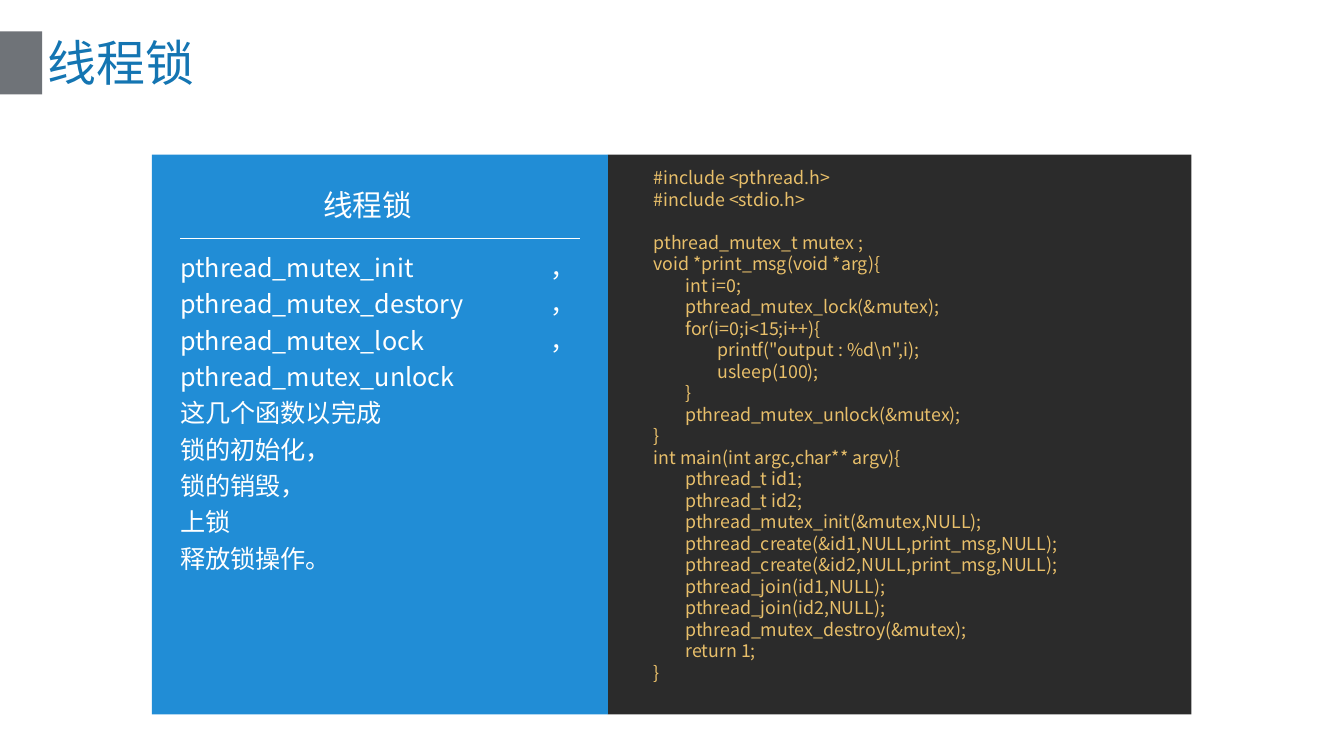
import pptx
import pptx.dml.color
import pptx.enum.shapes
import pptx.enum.text
import pptx.oxml
import pptx.oxml.ns
import pptx.util
from pptx.util import Inches

FONT = "Noto Sans CJK SC"
COLOURS = {
    "marker": "6F7378",
    "title": "1475B2",
    "code_panel": "2B2B2B",
    "summary_panel": "218DD6",
    "summary": "FFFFFF",
    "code": "E8BF6A",
}
ALIGN = pptx.enum.text.PP_ALIGN
CODE_PITCH = 29

SUMMARY = [
    "pthread_mutex_init，pthread_mutex_destory，pthread_mutex_lock，pthread_mutex_unlock",
    "这几个函数以完成",
    "锁的初始化，",
    "锁的销毁，",
    "上锁",
    "释放锁操作。",
]
INCLUDES = ["#include <pthread.h>", "#include <stdio.h>"]
PROGRAM = r"""pthread_mutex_t mutex ;
void *print_msg(void *arg){
        int i=0;
        pthread_mutex_lock(&mutex);
        for(i=0;i<15;i++){
                printf("output : %d\n",i);
                usleep(100);
        }
        pthread_mutex_unlock(&mutex);
}
int main(int argc,char** argv){
        pthread_t id1;
        pthread_t id2;
        pthread_mutex_init(&mutex,NULL);
        pthread_create(&id1,NULL,print_msg,NULL);
        pthread_create(&id2,NULL,print_msg,NULL);
        pthread_join(id1,NULL);
        pthread_join(id2,NULL);
        pthread_mutex_destroy(&mutex);
        return 1;
}""".splitlines()


def rgb(name):
    return pptx.dml.color.RGBColor.from_string(COLOURS[name])


def add_panel(slide, left, top, width, height, colour):
    panel = slide.shapes.add_shape(
        pptx.enum.shapes.MSO_SHAPE.RECTANGLE,
        Inches(left), Inches(top), Inches(width), Inches(height))
    panel.shadow.inherit = False
    panel.fill.solid()
    panel.fill.fore_color.rgb = rgb(colour)
    panel.line.fill.background()


def add_rule(slide, left, right, y, colour):
    rule = slide.shapes.add_connector(
        pptx.enum.shapes.MSO_CONNECTOR.STRAIGHT,
        Inches(left), Inches(y), Inches(right), Inches(y))
    rule.line.color.rgb = rgb(colour)
    rule.line.width = pptx.util.Pt(1)
    pptx.oxml.ns.qn("a:effectLst")
    rule._element.spPr.append(pptx.oxml.parse_xml(
        f'<a:effectLst {pptx.oxml.ns.nsdecls("a")}/>'))


def style_paragraph(paragraph, size, colour):
    """Set size and colour, and the font for Latin and Chinese text alike."""
    paragraph.font.size = pptx.util.Pt(size)
    paragraph.font.color.rgb = rgb(colour)
    paragraph.font.name = FONT
    defaults = paragraph._p.pPr.find(pptx.oxml.ns.qn("a:defRPr"))
    defaults.append(pptx.oxml.parse_xml(
        f'<a:ea {pptx.oxml.ns.nsdecls("a")} typeface="{FONT}"/>'))


def add_text(slide, left, top, width, height, lines, size, colour,
             align=ALIGN.LEFT, pitch=None, inset=None, middle=True):
    """Add one paragraph per line; pitch is the line distance in points."""
    box = slide.shapes.add_textbox(
        Inches(left), Inches(top), Inches(width), Inches(height))
    frame = box.text_frame
    frame.word_wrap = True
    anchor = pptx.enum.text.MSO_ANCHOR
    frame.vertical_anchor = anchor.MIDDLE if middle else anchor.TOP
    if inset is not None:
        frame.margin_left = frame.margin_right = Inches(inset)
        frame.margin_top = frame.margin_bottom = Inches(inset)
    frame.text = "\n".join(lines)
    for paragraph in frame.paragraphs:
        paragraph.alignment = align
        if pitch:
            paragraph.line_spacing = pptx.util.Pt(pitch)
        style_paragraph(paragraph, size, colour)
    return frame


def main():
    deck = pptx.Presentation()
    deck.slide_width, deck.slide_height = Inches(25.2), Inches(14.17)
    slide = deck.slides.add_slide(deck.slide_layouts[6])

    add_panel(slide, 0, 0.59, 0.79, 1.18, "marker")
    add_text(slide, 0.79, 0.57, 23.62, 1.2, ["线程锁"], 66, "title")

    add_panel(slide, 11.4, 2.9, 10.94, 10.49, "code_panel")
    add_panel(slide, 2.85, 2.9, 8.55, 10.49, "summary_panel")

    add_text(slide, 3.31, 3.43, 7.17, 0.82, ["线程锁"], 40, "summary",
             align=ALIGN.CENTER, inset=0.07)
    add_rule(slide, 3.38, 10.87, 4.46, "summary")
    add_text(slide, 3.31, 4.54, 7.56, 6.28, SUMMARY, 34, "summary",
             align=ALIGN.JUSTIFY, pitch=49, inset=0.07)

    code = add_text(slide, 12.16, 3.08, 10.03, 9.79, INCLUDES + PROGRAM, 24,
                    "code", pitch=CODE_PITCH, middle=False)
    code.paragraphs[len(INCLUDES)].space_before = pptx.util.Pt(CODE_PITCH)

    deck.save("out.pptx")


if __name__ == "__main__":
    main()
